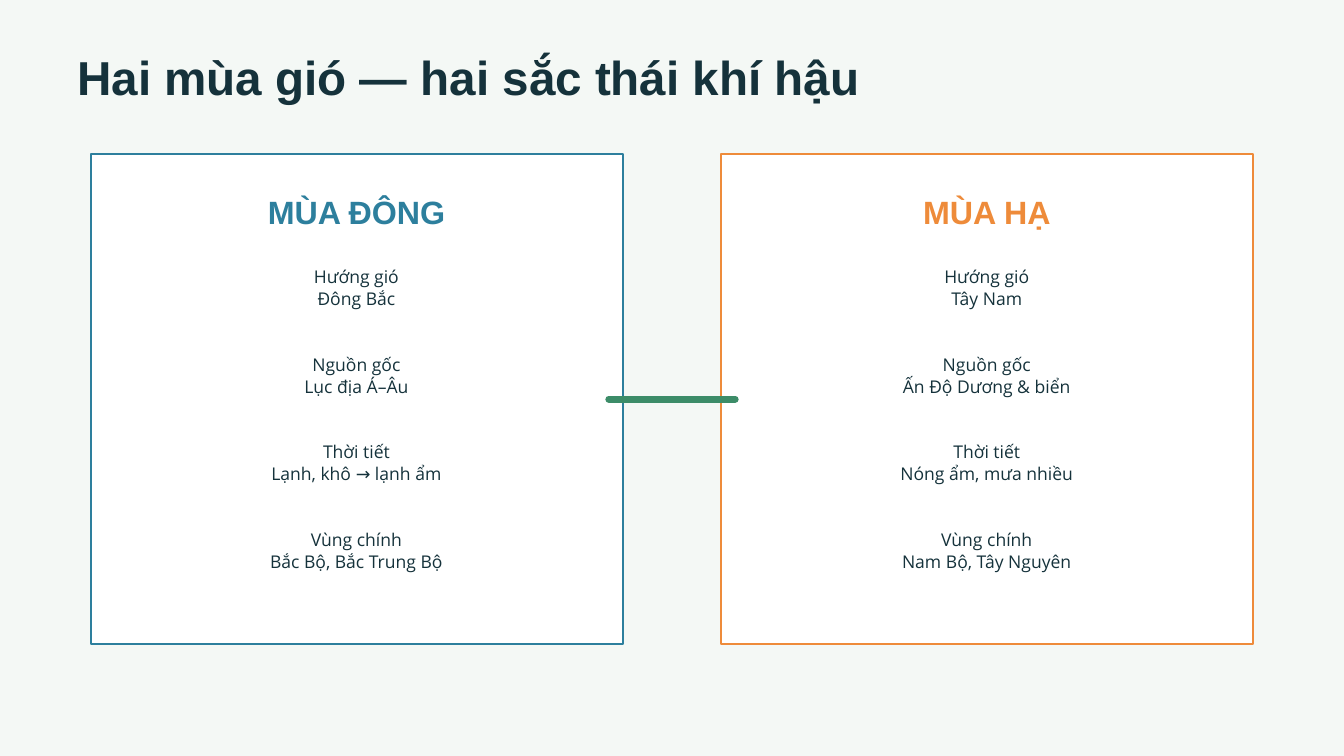
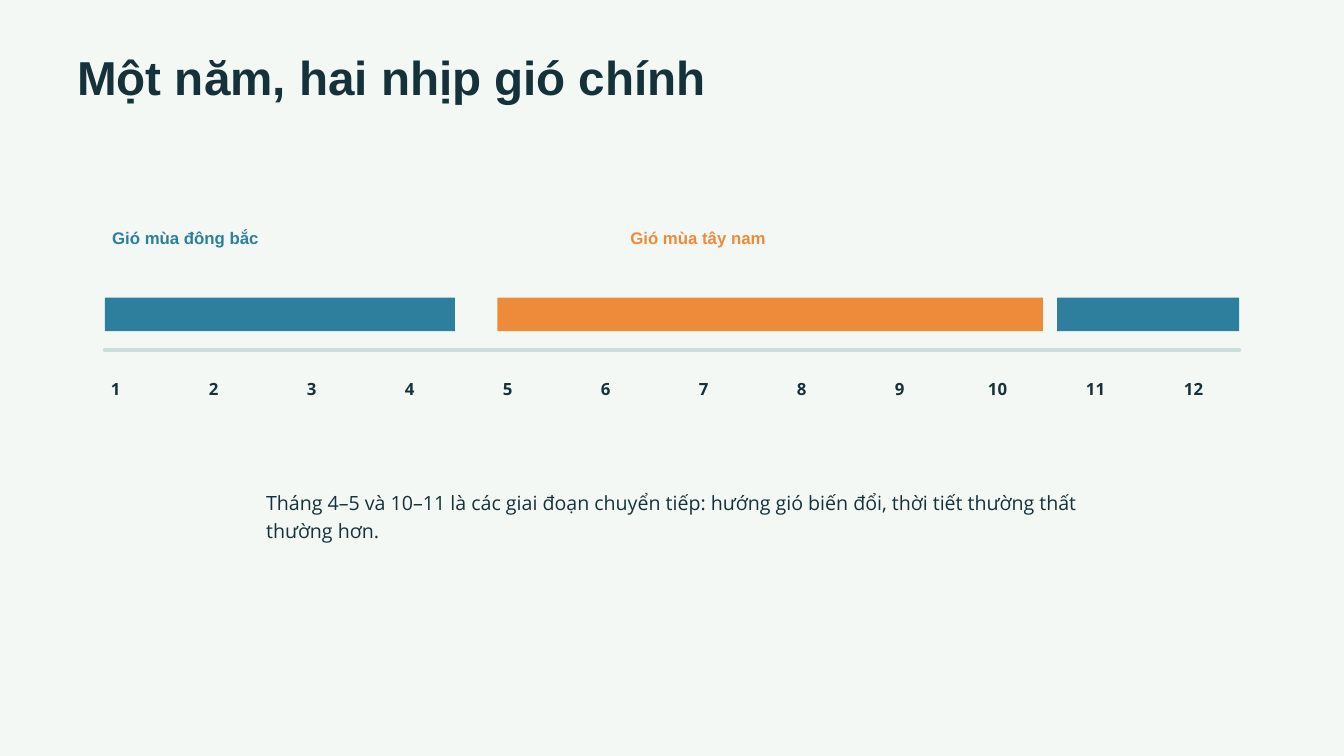
"""Build two slides on the monsoon seasons of Vietnam."""
from lxml import etree
from pptx import Presentation
from pptx.dml.color import RGBColor
from pptx.enum.shapes import MSO_CONNECTOR, MSO_SHAPE
from pptx.enum.text import MSO_AUTO_SIZE, PP_ALIGN
from pptx.oxml.ns import qn
from pptx.util import Inches, Pt

STRAIGHT = MSO_CONNECTOR.STRAIGHT
RECTANGLE = MSO_SHAPE.RECTANGLE
GROW = MSO_AUTO_SIZE.SHAPE_TO_FIT_TEXT
LEFT, CENTER = PP_ALIGN.LEFT, PP_ALIGN.CENTER

COLORS = {
    "background": "F4F8F5",
    "ink": "15323B",
    "card": "FFFFFF",
    "winter": "2D7F9D",
    "summer": "EE8B3A",
    "link": "3C8C68",
    "axis": "CBDEDC",
}
HEADING_FONT, BODY_FONT = "Arial", "Open Sans"

FACT_LABELS = ["Hướng gió", "Nguồn gốc", "Thời tiết", "Vùng chính"]
SEASONS = [
    ("MÙA ĐÔNG", "winter", 1.35,
     ["Đông Bắc", "Lục địa Á–Âu", "Lạnh, khô → lạnh ẩm", "Bắc Bộ, Bắc Trung Bộ"]),
    ("MÙA HẠ", "summer", 10.73,
     ["Tây Nam", "Ấn Độ Dương & biển", "Nóng ẩm, mưa nhiều", "Nam Bộ, Tây Nguyên"]),
]
WIND_BARS = [("winter", 0, 5.21), ("summer", 5.84, 8.12), ("winter", 14.17, 2.71)]
WIND_LABELS = [
    ("Gió mùa đông bắc", "winter", 0.11, 4.9),
    ("Gió mùa tây nam", "summer", 7.82, 5.21),
]


def color(name):
    """Return the named colour of the palette."""
    return RGBColor.from_string(COLORS[name])


def add_text(shapes, box, lines, size, spacing, font=BODY_FONT, tint="ink",
             bold=False, align=LEFT):
    """Write lines of text, one paragraph each, in a box without margins."""
    frame = shapes.add_textbox(*map(Inches, box)).text_frame
    frame.word_wrap = True
    frame.auto_size = GROW
    frame.margin_left = frame.margin_top = 0
    frame.margin_right = frame.margin_bottom = 0
    frame.text = "\n".join(lines)
    for para in frame.paragraphs:
        para.alignment = align
        para.line_spacing = Pt(spacing)
        for span in para.runs:
            span.font.name = font
            span.font.size = Pt(size)
            span.font.bold = bold
            span.font.color.rgb = color(tint)


def add_rectangle(shapes, box, fill, outline=None):
    """Draw a filled rectangle, outlined if a colour is given."""
    rectangle = shapes.add_shape(RECTANGLE, *map(Inches, box))
    rectangle.shadow.inherit = False
    rectangle.fill.solid()
    rectangle.fill.fore_color.rgb = color(fill)
    if outline:
        rectangle.line.color.rgb = color(outline)
        rectangle.line.width = Pt(2.25)
    else:
        rectangle.line.fill.background()


def add_level_line(shapes, left, right, top, tint, width):
    """Draw a horizontal line with round ends."""
    line = shapes.add_connector(STRAIGHT, *map(Inches, (left, top, right, top)))
    line.line.color.rgb = color(tint)
    line.line.width = Pt(width)
    properties = line.element.spPr
    properties.find(qn("a:ln")).set("cap", "rnd")
    etree.SubElement(properties, qn("a:effectLst"))


def add_page(deck, title):
    """Add a slide with the shared background and title."""
    page = deck.slides.add_slide(deck.slide_layouts[6])
    page.background.fill.solid()
    page.background.fill.fore_color.rgb = color("background")
    add_text(page.shapes, (1.15, 0.8, 11.98, 0.79), [title], 51, 55.1,
             HEADING_FONT, bold=True)
    return page


def add_season_card(page, box, name, tint, facts):
    """Group a season's heading and facts on an outlined card."""
    left, top, width, height = box
    card = page.shapes.add_group_shape().shapes
    add_rectangle(card, box, "card", tint)
    add_text(card, (left + 0.57, top + 0.47, width - 1.15, 0.63), [name],
             34.5, 48.3, HEADING_FONT, tint, True, CENTER)
    for row, fact in enumerate(zip(FACT_LABELS, facts)):
        fact_box = (left + 0.62, top + 1.66 + row * 1.303, width - 1.25, 0.64)
        add_text(card, fact_box, fact, 18.8, 23.4, align=CENTER)


def add_year_timeline(page, box):
    """Draw wind labels, season bars, the axis and the month numbers."""
    left, top, width, height = box
    axis_top = top + 1.81
    add_level_line(page.shapes, left, left + width, axis_top, "axis", 4.5)
    month_step = 17.5 / 12
    for month in range(12):
        month_box = (left - 0.1 + month * month_step, top + height - 0.33, 0.52, 0.33)
        add_text(page.shapes, month_box, [str(month + 1)], 18, 25.2,
                 bold=True, align=CENTER)
    for tint, offset, length in WIND_BARS:
        add_rectangle(page.shapes, (left + offset, top + 1.03, length, 0.5), tint)
    for label, tint, offset, length in WIND_LABELS:
        add_text(page.shapes, (left + offset, top, length, 0.28), [label],
                 18, 20.7, HEADING_FONT, tint, True)


def build_seasons(deck):
    """Build the comparison of the two seasons."""
    page = add_page(deck, "Hai mùa gió — hai sắc thái khí hậu")
    for name, tint, left, facts in SEASONS:
        add_season_card(page, (left, 2.29, 7.92, 7.29), name, tint, facts)
    add_level_line(page.shapes, 9.06, 10.94, 5.94, "link", 7.5)


def build_year(deck):
    """Build the timeline of the winds through the year."""
    page = add_page(deck, "Một năm, hai nhịp gió chính")
    add_year_timeline(page, (1.56, 3.4, 16.88, 2.52))
    note = ("Tháng 4–5 và 10–11 là các giai đoạn chuyển tiếp: "
            "hướng gió biến đổi, thời tiết thường thất thường hơn.")
    add_text(page.shapes, (3.96, 7.25, 12.08, 0.8), [note], 21, 29.4)


def main():
    """Build and save the deck."""
    deck = Presentation()
    deck.slide_width, deck.slide_height = Inches(20), Inches(11.25)
    build_seasons(deck)
    build_year(deck)
    deck.save("out.pptx")


if __name__ == "__main__":
    main()
